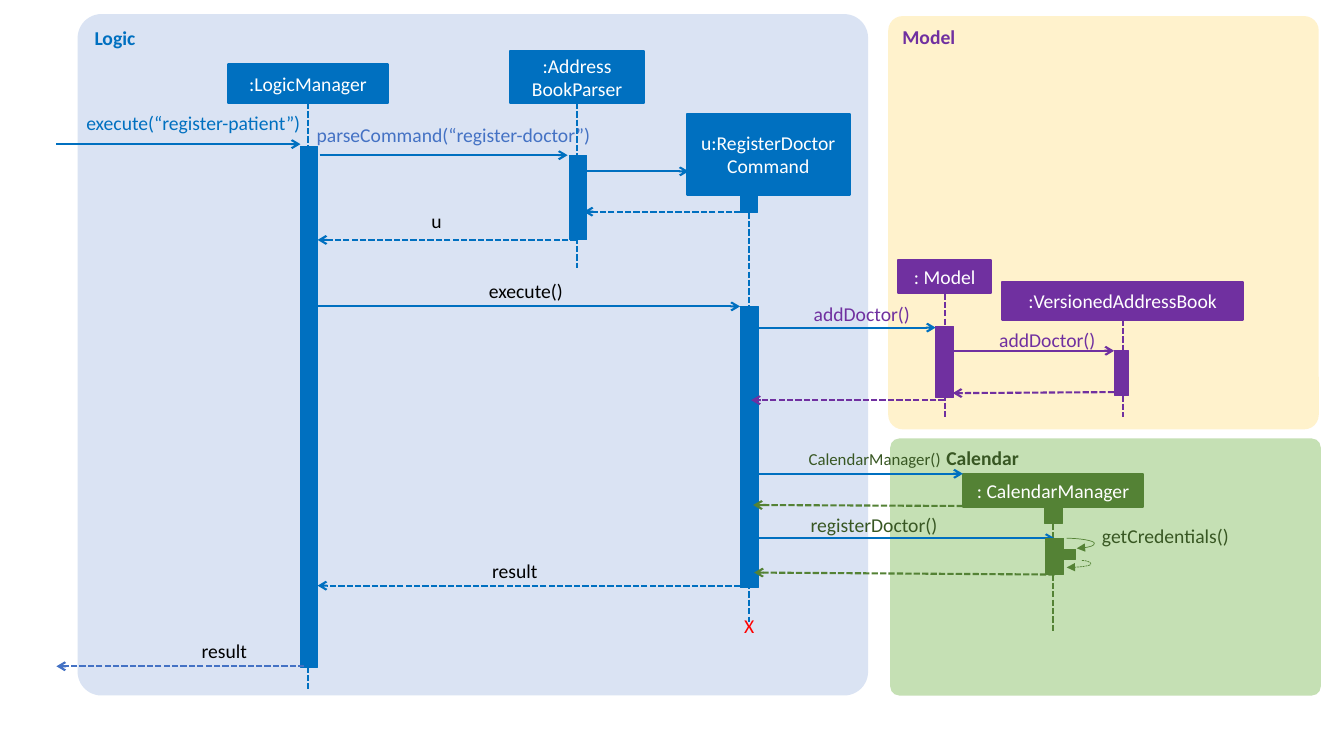
from lxml.etree import SubElement
from pptx import Presentation
from pptx.dml.color import RGBColor
from pptx.enum.dml import MSO_LINE
from pptx.enum.shapes import MSO_CONNECTOR, MSO_SHAPE
from pptx.enum.text import MSO_ANCHOR, MSO_AUTO_SIZE, PP_ALIGN
from pptx.oxml.ns import qn
from pptx.util import Pt

PX = 9144  # 100 px to the inch
COLORS = {
    "blue": "0070C0", "soft blue": "4472C4", "purple": "7030A0",
    "green": "548235", "dark green": "385723", "red": "FF0000",
    "black": "000000", "white": "FFFFFF",
    "logic": "DAE3F3", "model": "FFF2CC", "calendar": "C5E0B4",
}


def color(name):
    return RGBColor.from_string(COLORS[name])


def px(*lengths):
    return [length * PX for length in lengths]


def write(shape, text, ink, size=14, bold=False, align=PP_ALIGN.LEFT):
    frame = shape.text_frame
    frame.text = text
    for para in frame.paragraphs:
        para.alignment = align
        for span in para.runs:
            span.font.name = "Calibri"
            span.font.size = Pt(size)
            span.font.bold = bold
            span.font.color.rgb = color(ink)


def block(page, preset, place, fill, line_width=0):
    shape = page.shapes.add_shape(preset, *px(*place))
    shape.shadow.inherit = False
    shape.fill.solid()
    shape.fill.fore_color.rgb = color(fill)
    if line_width:
        shape.line.color.rgb = color(fill)
        shape.line.width = Pt(line_width)
    else:
        shape.line.fill.background()
    return shape


def panel(page, title, place, fill, ink, indent=10):
    shape = block(page, MSO_SHAPE.ROUNDED_RECTANGLE, place, fill)
    shape.adjustments[0] = 0.035
    shape.text_frame.vertical_anchor = MSO_ANCHOR.TOP
    shape.text_frame.margin_left = indent * PX
    write(shape, title, ink, bold=True)


def head(page, text, place, fill):
    shape = block(page, MSO_SHAPE.RECTANGLE, place, fill, 1.5)
    shape.text_frame.vertical_anchor = MSO_ANCHOR.MIDDLE
    write(shape, text, "white", align=PP_ALIGN.CENTER)
    return shape


def bar(page, place, fill):
    return block(page, MSO_SHAPE.RECTANGLE, place, fill, 0.5)


def connector(page, points, ink, dashed=False, arrow=None, width=1.5,
              kind=MSO_CONNECTOR.STRAIGHT):
    link = page.shapes.add_connector(kind, *px(*points))
    link.line.color.rgb = color(ink)
    link.line.width = Pt(width)
    if dashed:
        link.line.dash_style = MSO_LINE.SQUARE_DOT
    properties = link._element.spPr
    if arrow:
        SubElement(properties.find(qn("a:ln")), qn("a:tailEnd"), type=arrow)
    SubElement(properties, qn("a:effectLst"))
    return link


def lifeline(page, owner, foot, ink):
    """Dashed line from the middle of the owner's bottom side down to foot."""
    x = (owner.left + owner.width // 2) // PX
    link = connector(page, (x, foot, x, foot), ink, dashed=True)
    link.begin_connect(owner, 2)
    link.end_x = link.begin_x


def self_call(page, points, bulge, dashed=False):
    link = connector(page, points, "green", dashed, "triangle", 0.5,
                     MSO_CONNECTOR.CURVE)
    guides = link._element.spPr.find(qn("a:prstGeom")).get_or_add_avLst()
    SubElement(guides, qn("a:gd"), name="adj1", fmla=f"val {bulge}")


def label(page, text, place, ink, size=14, align=PP_ALIGN.LEFT):
    box = page.shapes.add_textbox(*px(*place))
    frame = box.text_frame
    frame.margin_left = frame.margin_right = 0
    frame.margin_top = frame.margin_bottom = 0
    frame.word_wrap = True
    frame.auto_size = MSO_AUTO_SIZE.SHAPE_TO_FIT_TEXT
    write(box, text, ink, size, align=align)


def main():
    deck = Presentation()
    deck.slide_width, deck.slide_height = px(1333, 750)
    page = deck.slides.add_slide(deck.slide_layouts[6])

    # Component areas
    panel(page, "Model", (881, 16, 427, 410), "model", "purple")
    panel(page, "Logic", (77, 14, 784, 676), "logic", "blue")
    panel(page, "Calendar", (883, 435, 427, 255), "calendar", "dark green", 53)

    # Participants and their lifelines
    for text, place, foot, ink in (
        (":LogicManager", (226, 64, 159, 38), 684, "blue"),
        (":Address\nBookParser", (506, 51, 133, 51), 266, "blue"),
        (": Model", (891, 258, 92, 33), 414, "purple"),
        (":VersionedAddressBook", (994, 280, 239, 37), 414, "purple"),
        (": CalendarManager", (955, 470, 179, 33), 627, "green"),
    ):
        lifeline(page, head(page, text, place, ink), foot, ink)
    creation = bar(page, (734, 181, 17, 30), "blue")
    lifeline(page, creation, 617, "blue")
    head(page, "u:RegisterDoctor\vCommand", (681, 113, 162, 80), "blue")

    # Activation bars
    for place, ink in (
        ((298, 145, 17, 517), "blue"),
        ((565, 154, 17, 84), "blue"),
        ((734, 304, 18, 279), "blue"),
        ((928, 324, 18, 70), "purple"),
        ((1105, 348, 14, 44), "purple"),
        ((1036, 501, 18, 18), "green"),
    ):
        bar(page, place, ink)

    # Calls
    for points, ink in (
        ((56, 143, 298, 143), "blue"),
        ((317, 154, 563, 154), "blue"),
        ((582, 170, 683, 170), "blue"),
        ((315, 304, 734, 304), "blue"),
        ((751, 325, 928, 325), "blue"),
        ((945, 348, 1105, 348), "purple"),
        ((747, 470, 955, 470), "blue"),
        ((752, 534, 1046, 534), "blue"),
    ):
        connector(page, points, ink, arrow="arrow")

    # Returns
    for points, ink in (
        ((743, 210, 579, 210), "blue"),
        ((572, 238, 315, 238), "blue"),
        ((734, 581, 315, 581), "blue"),
        ((302, 661, 56, 661), "soft blue"),
        ((1105, 389, 945, 390), "purple"),
        ((937, 397, 745, 397), "purple"),
        ((955, 502, 747, 501), "green"),
        ((1046, 570, 748, 568), "green"),
    ):
        connector(page, points, ink, dashed=True, arrow="arrow")

    # Calendar registration and its nested call
    bar(page, (1037, 534, 18, 36), "green")
    bar(page, (1053, 545, 14, 10), "green")
    self_call(page, (1058, 534, 1068, 544), 274800)
    self_call(page, (1073, 556, 1058, 563), -60400, dashed=True)

    # Message labels
    label(page, "execute(“register-patient”)", (70, 110, 228, 24), "blue",
          align=PP_ALIGN.RIGHT)
    label(page, "CalendarManager()", (802, 445, 163, 20), "dark green", 12)
    for text, place, ink in (
        ("parseCommand(“register-doctor”)", (314, 122, 304, 24), "soft blue"),
        ("u", (428, 207, 24, 24), "black"),
        ("execute()", (485, 277, 94, 24), "black"),
        ("result", (488, 554, 68, 24), "black"),
        ("result", (200, 634, 83, 24), "black"),
        ("addDoctor()", (807, 300, 97, 24), "purple"),
        ("addDoctor()", (991, 325, 107, 47), "purple"),
        ("registerDoctor()", (804, 509, 133, 24), "dark green"),
        ("getCredentials()", (1093, 520, 133, 24), "dark green"),
        ("X", (738, 609, 20, 24), "red"),
    ):
        label(page, text, place, ink)

    deck.save("out.pptx")


if __name__ == "__main__":
    main()
